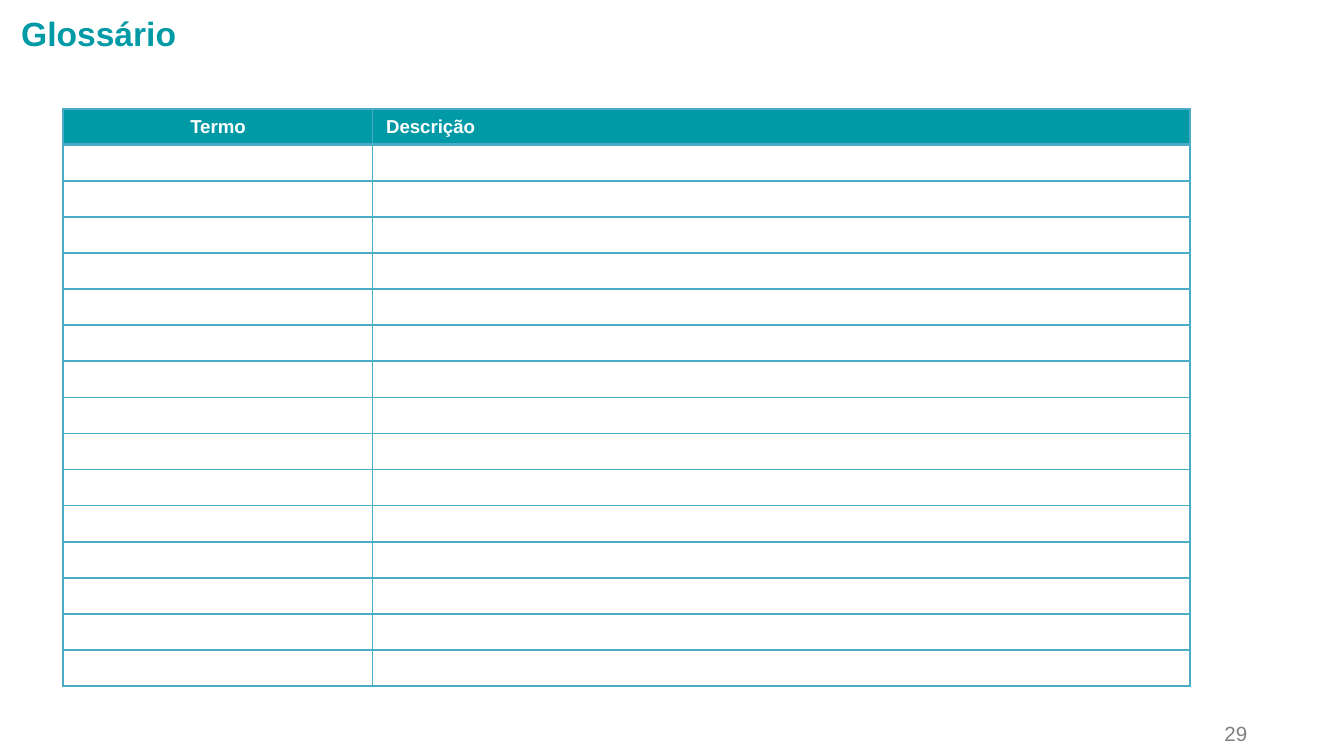
from lxml import etree
from pptx import Presentation
from pptx.dml.color import RGBColor
from pptx.enum.text import MSO_ANCHOR, PP_ALIGN
from pptx.oxml.ns import qn
from pptx.util import Pt

LEFT, CENTER, RIGHT = PP_ALIGN.LEFT, PP_ALIGN.CENTER, PP_ALIGN.RIGHT
MIDDLE = MSO_ANCHOR.MIDDLE

# Content
TITLE = "Glossário"
PAGE_NUMBER = "29"
HEADERS = [("Termo", CENTER), ("Descrição", LEFT)]
BODY_ROWS = 15

# Style and layout, in points
FONT = "Arial"
TEAL, BORDER, GRAY, WHITE = "009AA6", "4BACC6", "808080", "FFFFFF"
CELL_SIZE = 10
COLUMN_WIDTHS = [165.75, 437.95]
HEADER_HEIGHT, ROW_HEIGHT = 18.9, 19.34
TABLE_LEFT, TABLE_TOP = 33.9, 58.3


def rgb(color):
    return RGBColor.from_string(color)


def write(paragraph, text, size, color, bold=False, align=LEFT):
    paragraph.alignment = align
    run = paragraph.add_run()
    run.text = text
    run.font.name = FONT
    run.font.size = Pt(size)
    run.font.bold = bold
    run.font.color.rgb = rgb(color)


def add_text(slide, box, text, size, color, bold=False, align=LEFT):
    shape = slide.shapes.add_textbox(*(Pt(length) for length in box))
    frame = shape.text_frame
    frame.word_wrap = True
    frame.vertical_anchor = MIDDLE
    write(frame.paragraphs[0], text, size, color, bold, align)
    return frame.paragraphs[0]


def set_borders(cell, widths):
    properties = cell._tc.get_or_add_tcPr()
    for side, width in zip("LRTB", widths):
        line = etree.SubElement(properties, qn(f"a:ln{side}"), w=str(Pt(width)))
        fill = etree.SubElement(line, qn("a:solidFill"))
        etree.SubElement(fill, qn("a:srgbClr"), val=BORDER)


def set_empty_size(cell, size):
    paragraph = cell.text_frame.paragraphs[0]
    etree.SubElement(paragraph._p, qn("a:endParaRPr"), sz=str(size * 100))


presentation = Presentation()
presentation.slide_width, presentation.slide_height = Pt(720), Pt(405)
slide = presentation.slides.add_slide(presentation.slide_layouts[6])

# Page number
number = add_text(slide, (609.1, 383.8, 66.2, 20.9), PAGE_NUMBER, 11, GRAY, align=RIGHT)
number.line_spacing = 0.8

# Glossary table
table = slide.shapes.add_table(
    BODY_ROWS + 1, len(HEADERS), Pt(TABLE_LEFT), Pt(TABLE_TOP),
    Pt(sum(COLUMN_WIDTHS)), Pt(HEADER_HEIGHT + BODY_ROWS * ROW_HEIGHT)).table
table.first_row = table.horz_banding = False
for column, width in zip(table.columns, COLUMN_WIDTHS):
    column.width = Pt(width)

for row_index, row in enumerate(table.rows):
    is_header = row_index == 0
    row.height = Pt(HEADER_HEIGHT if is_header else ROW_HEIGHT)
    for cell, (header, align) in zip(row.cells, HEADERS):
        top = 2 if row_index == 1 else 1
        bottom = 2 if is_header else 1
        set_borders(cell, (1, 1, top, bottom))
        cell.vertical_anchor = MIDDLE
        if is_header:
            cell.fill.solid()
            cell.fill.fore_color.rgb = rgb(TEAL)
            write(cell.text_frame.paragraphs[0], header, CELL_SIZE, WHITE, True, align)
        else:
            cell.fill.background()
            set_empty_size(cell, CELL_SIZE)

# Title
add_text(slide, (4.3, 3.6, 633.6, 28.8), TITLE, 18, TEAL, bold=True)

presentation.save("out.pptx")
